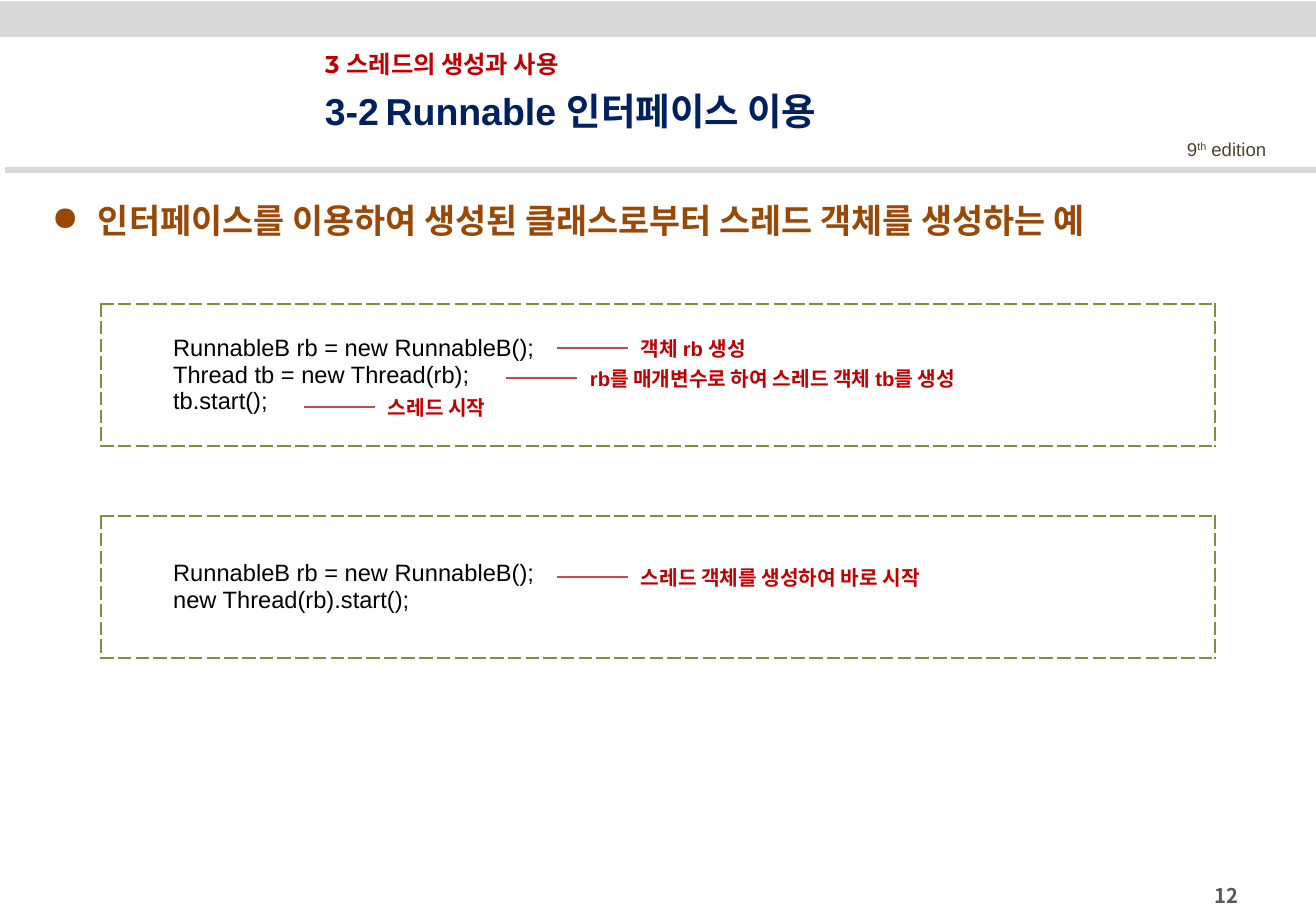
import pptx
import pptx.util
import pptx.dml.color
import pptx.enum.shapes
import pptx.enum.text
import pptx.oxml
import pptx.oxml.ns

RGBColor = pptx.dml.color.RGBColor
Anchor = pptx.enum.text.MSO_ANCHOR
Align = pptx.enum.text.PP_ALIGN
GRAY = RGBColor(0xD9, 0xD9, 0xD9)
OLIVE = RGBColor(0x4A, 0x45, 0x2A)
NAVY = RGBColor(0x00, 0x20, 0x60)
RED = RGBColor(0xC0, 0x00, 0x00)
BROWN = RGBColor(0x98, 0x48, 0x07)
DARK_GRAY = RGBColor(0x59, 0x59, 0x59)
BLACK = RGBColor(0x00, 0x00, 0x00)
LINE_RED = RGBColor(0xBF, 0x4C, 0x48)
GREEN = RGBColor(0x77, 0x93, 0x3C)
KOREAN = "Noto Sans CJK KR"
NAMESPACE = pptx.oxml.ns.nsdecls("a")


def px(*lengths):
    scaled = [round(length * 914400 / 121.5) for length in lengths]
    return scaled[0] if len(scaled) == 1 else scaled


def write(frame, text, size, color, font="Arial", bold=False, anchor=Anchor.TOP,
          align=Align.LEFT, wrap=True, margin=0, indent=0, before=0, spacing=1.0):
    frame.word_wrap = wrap
    frame.vertical_anchor = anchor
    for number, line in enumerate(text.split("\n")):
        paragraph = frame.add_paragraph() if number else frame.paragraphs[0]
        paragraph.alignment = align
        paragraph.space_before = pptx.util.Pt(before)
        paragraph.line_spacing = spacing
        properties = paragraph._p.get_or_add_pPr()
        properties.set("marL", str(px(margin)))
        properties.set("indent", str(px(indent)))
        run = paragraph.add_run()
        run.text = line
        run.font.name = font
        run.font.size = pptx.util.Pt(size)
        run.font.bold = bold
        run.font.color.rgb = color
        run._r.get_or_add_rPr().append(
            pptx.oxml.parse_xml(f'<a:ea {NAMESPACE} typeface="{KOREAN}"/>'))
    return paragraph


presentation = pptx.Presentation()
presentation.slide_width, presentation.slide_height = px(1316, 911)
slide = presentation.slides.add_slide(presentation.slide_layouts[5])
shapes = slide.shapes

for box in [(0, 1, 1316, 36), (5, 167, 1311, 6)]:
    bar = shapes.add_shape(pptx.enum.shapes.MSO_SHAPE.RECTANGLE, *px(*box))
    bar.shadow.inherit = False
    bar.fill.solid()
    bar.fill.fore_color.rgb = GRAY
    bar.line.fill.background()

edition = shapes.add_textbox(*px(1175, 132, 106, 35))
paragraph = write(edition.text_frame, "9", 11, OLIVE, wrap=False)
for text, baseline in [("th", 30000), (" edition", 0)]:
    run = paragraph.add_run()
    run.text = text
    run.font.name = "Arial"
    run.font.size = pptx.util.Pt(11)
    run.font.color.rgb = OLIVE
    run._r.get_or_add_rPr().set("baseline", str(baseline))

title = shapes.title
title.left, title.top, title.width, title.height = px(313, 44, 814, 40)
title.text_frame.auto_size = pptx.enum.text.MSO_AUTO_SIZE.NONE
write(title.text_frame, "3 스레드의 생성과 사용", 14.4, RED, font="Montserrat",
      bold=True, anchor=Anchor.MIDDLE)

section = shapes.add_textbox(*px(313, 83, 937, 56))
paragraph = write(section.text_frame, "3-2\tRunnable 인터페이스 이용", 22.2, NAVY,
                  bold=True, anchor=Anchor.BOTTOM, before=4)
paragraph._p.get_or_add_pPr().append(pptx.oxml.parse_xml(
    f'<a:tabLst {NAMESPACE}><a:tab pos="{px(96)}" algn="l"/></a:tabLst>'))

page_number = shapes.add_textbox(*px(943, 871, 307, 49))
write(page_number.text_frame, "12", 12, DARK_GRAY, font=KOREAN, bold=True,
      anchor=Anchor.MIDDLE, align=Align.RIGHT)

body = shapes.add_textbox(*px(40, 182, 1225, 678))
paragraph = write(body.text_frame,
                  "인터페이스를 이용하여 생성된 클래스로부터 스레드 객체를 생성하는 예",
                  20, BROWN, font=KOREAN, bold=True, margin=46, indent=-46,
                  before=4, spacing=1.3)
paragraph._p.get_or_add_pPr().append(
    pptx.oxml.parse_xml(f'<a:buChar {NAMESPACE} char="●"/>'))

code_blocks = [
    (304, "RunnableB rb = new RunnableB();\nThread tb = new Thread(rb);\ntb.start();"),
    (516, "RunnableB rb = new RunnableB();\nnew Thread(rb).start();"),
]
for top, code in code_blocks:
    table = shapes.add_table(1, 1, *px(101, top, 1114, 142)).table
    table.first_row = False
    table.horz_banding = False
    cell = table.cell(0, 0)
    write(cell.text_frame, code, 14, BLACK, indent=60)
    cell.vertical_anchor = Anchor.MIDDLE
    cell_properties = cell._tc.get_or_add_tcPr()
    for side in ("lnL", "lnR", "lnT", "lnB"):
        cell_properties.append(pptx.oxml.parse_xml(
            f'<a:{side} {NAMESPACE} w="12700"><a:solidFill><a:srgbClr val="{GREEN}"/>'
            f'</a:solidFill><a:prstDash val="sysDash"/></a:{side}>'))
    cell.fill.background()

notes = [
    (557, 348, 142, "객체 rb 생성"),
    (506, 378, 436, "rb를 매개변수로 하여 스레드 객체 tb를 생성"),
    (304, 407, 134, "스레드 시작"),
    (557, 577, 340, "스레드 객체를 생성하여 바로 시작"),
]
for left, middle, width, text in notes:
    group = shapes.add_group_shape()
    leader = group.shapes.add_connector(
        pptx.enum.shapes.MSO_CONNECTOR.STRAIGHT, *px(left, middle, left + 71, middle))
    leader.line.color.rgb = LINE_RED
    leader.line.width = pptx.util.Pt(1.25)
    leader._element.spPr.append(pptx.oxml.parse_xml(f"<a:effectLst {NAMESPACE}/>"))
    label = group.shapes.add_textbox(*px(left + 72, middle - 18, width, 36))
    write(label.text_frame, text, 12, RED, bold=True, wrap=False)

presentation.save("out.pptx")
